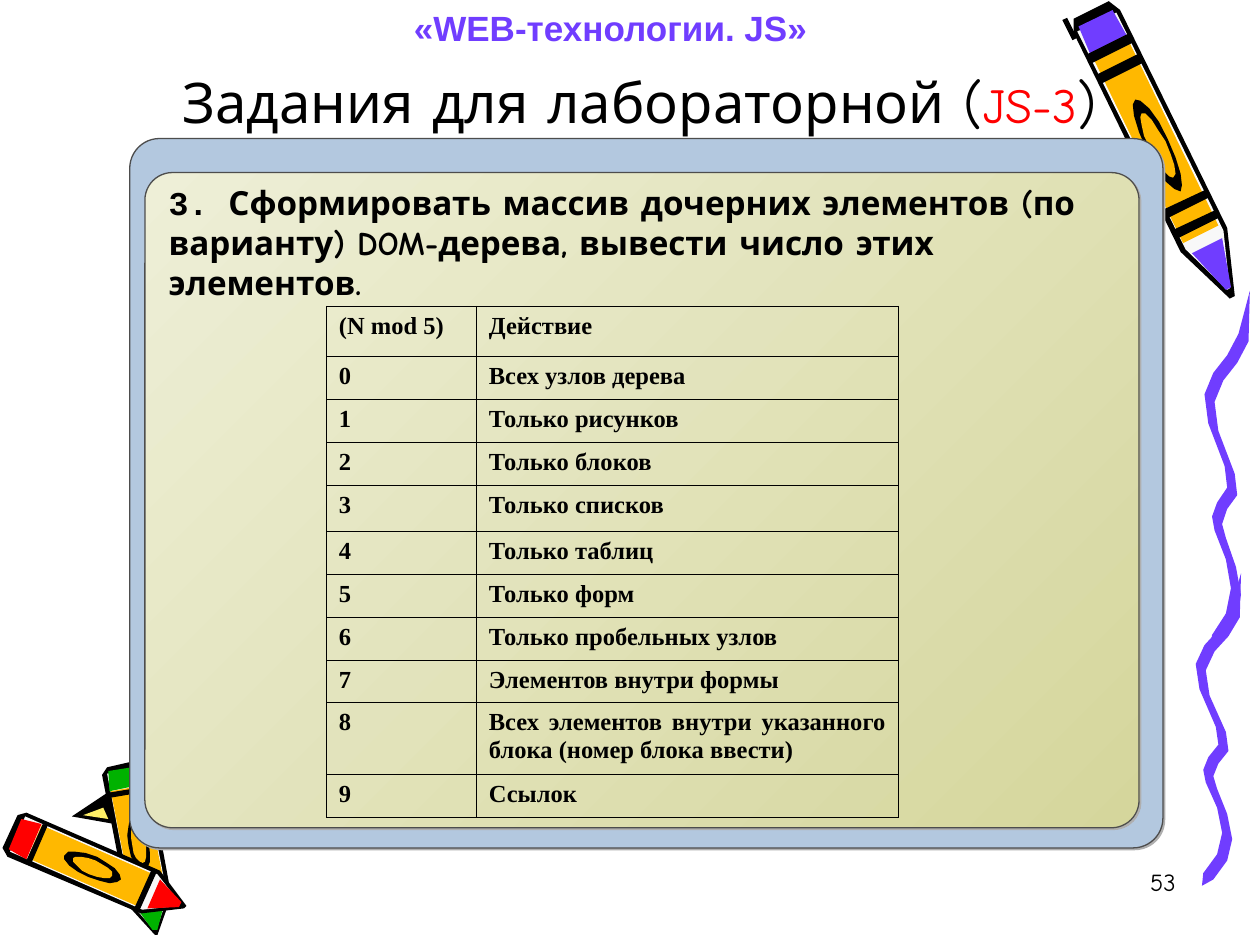
import math

import lxml.etree
import pptx
import pptx.dml.color
import pptx.enum.shapes
import pptx.enum.text
import pptx.util

DRAWING = "{http://schemas.openxmlformats.org/drawingml/2006/main}"
PURPLE, AMBER, BLACK, WHITE = "703DFF", "FFB800", "000000", "F8F8F8"
RED, GREEN, YELLOW, OUTLINE = "FF0000", "00B200", "FFEF66", "4D4D4D"
ALIGN = pptx.enum.text.PP_ALIGN
ANCHOR = pptx.enum.text.MSO_ANCHOR
SHAPES = pptx.enum.shapes.MSO_SHAPE


def colour(value):
    return pptx.dml.color.RGBColor.from_string(value)


def write(frame, align, runs):
    """Fill the first paragraph with (text, font, size, colour, bold) runs."""
    para = frame.paragraphs[0]
    para.alignment = align
    for text, font, size, ink, bold in runs:
        span = para.add_run()
        span.text = text
        for name, value in {"name": font, "size": pptx.util.Pt(size), "bold": bold}.items():
            setattr(span.font, name, value)
        span.font.color.rgb = colour(ink)
    return para


# Page on a grid of 1000 columns by 750 rows
deck = pptx.Presentation()
deck.slide_width, deck.slide_height = pptx.util.Inches(10), pptx.util.Inches(7.5)
unit = deck.slide_width // 1000
page = deck.slides.add_slide(deck.slide_layouts[6])
outlines = []  # (fill, points on the grid), from back to front

# Chip beside the small crayons: a yellow triangle inside a black one
outlines += [(BLACK, [(84, 630), (57, 648), (91, 654)]),
             (YELLOW, [(82, 641), (66, 647), (86, 650)])]

# Crayons: each part is symmetrical about the axis from blunt end to tip, given as
# (share of the length, share of the half width) along one side
turns = [math.pi * step / 8 for step in range(9)]
ring, hole = ([(0.47 - 0.16 * size * math.cos(t), 0.45 * size * math.sin(t)) for t in turns]
              for size in (1, 0.7))
crayons = [  # blunt end, tip, width, tint, places of the dark bands
    ((98, 606), (124, 742), 36, GREEN, [0.15]),
    ((8, 660), (147, 720), 38, RED, [0.14, 0.76]),
    ((866, 8), (978, 236), 42, PURPLE, [0.12, 0.19, 0.66, 0.73]),
]
for (x0, y0), (x1, y1), width, tint, bands in crayons:
    dx, dy = x1 - x0, y1 - y0
    half = width / 2 / math.hypot(dx, dy)
    parts = [
        (BLACK, [(0, 0.75), (0.04, 1), (0.8, 1), (1, 0.08)]),
        (WHITE, [(0.04, 0.8), (0.8, 0.8), (0.97, 0.05)]),
        (tint, [(0.03, 0.7), (0.14, 0.8)]),
        (AMBER, [(0.14, 0.75), (0.78, 0.75)]),
        (tint, [(0.82, 0.65), (0.97, 0.1)]),
        (BLACK, ring),
        (AMBER, hole),
    ] + [(BLACK, [(band, 0.85), (band + 0.03, 0.85)]) for band in bands]
    for fill, side in parts:
        around = side + [(along, -across) for along, across in reversed(side)]
        outlines.append((fill, [(x0 + dx * along - dy * half * across,
                                 y0 + dy * along + dx * half * across)
                                for along, across in around]))

# Squiggle: one tapering ribbon, its centre line in shares of the frame, drawn twice
centre_line = [(0.86, 0.13), (0.61, 0.19), (0.31, 0.24), (0.11, 0.3), (0.19, 0.38),
               (0.56, 0.5), (0.61, 0.56), (0.39, 0.6), (0.28, 0.64), (0.34, 0.68),
               (0.58, 0.76), (0.69, 0.84), (0.58, 0.91), (0.28, 0.97)]
ribbon = ([(1, 0)] + [(x + 0.12, y + 0.01) for x, y in centre_line] + [(0.14, 1)]
          + [(x - 0.12, y - 0.01) for x, y in reversed(centre_line)])
for left, top, width, height in ((949, 455, 36, 248), (956, 231, 36, 284)):
    outlines.append((PURPLE, [(left + width * x, top + height * y) for x, y in ribbon]))

for fill, points in outlines:
    builder = page.shapes.build_freeform(*points[0], scale=unit)
    builder.add_line_segments(points[1:], close=True)
    shape = builder.convert_to_shape()
    shape.shadow.inherit = False
    shape.fill.solid()
    shape.fill.fore_color.rgb = colour(fill)
    shape.line.fill.background()

# Stroke at the blunt end of the big crayon
stroke = page.shapes.add_connector(pptx.enum.shapes.MSO_CONNECTOR.STRAIGHT,
                                   *(unit * n for n in (845, 15, 853, 31)))
stroke.line.color.rgb = colour(BLACK)
stroke.line.width = pptx.util.Pt(3)
lxml.etree.SubElement(stroke.element.spPr, DRAWING + "effectLst")

# Two nested panels with a small shadow
for place, stops in (((103, 110, 820, 563), ["B3C8DF"]),
                     ((115, 137, 789, 520), ["EEEFD7", "D5D69C"])):
    panel = page.shapes.add_shape(SHAPES.ROUNDED_RECTANGLE, *(unit * n for n in place))
    panel.adjustments[0] = 0.042
    if len(stops) == 1:
        panel.fill.solid()
        panel.fill.fore_color.rgb = colour(stops[0])
    else:
        panel.fill.gradient()
        panel.fill.gradient_angle = 315
        for stop, value in zip(panel.fill.gradient_stops, stops):
            stop.color.rgb = colour(value)
    panel.line.color.rgb = colour(OUTLINE)
    panel.line.width = pptx.util.Pt(0.75)
    panel.shadow.inherit = False
    effects = panel.element.spPr.find(DRAWING + "effectLst")
    shadow = lxml.etree.SubElement(effects, DRAWING + "outerShdw", dist="17780", dir="2700000",
                                   algn="ctr", rotWithShape="0")
    lxml.etree.SubElement(shadow, DRAWING + "srgbClr", val="AFAFAF")

# Title, task and page number
for place, anchor, align, runs in (
    ((50, 50, 915, 60), ANCHOR.MIDDLE, ALIGN.CENTER,
     [("Задания для лабораторной (", "Comic Neue", 32, BLACK, False),
      ("JS-3", "Comic Neue", 28, RED, False),
      (")", "Comic Neue", 32, BLACK, False)]),
    ((124, 140, 780, 74), ANCHOR.TOP, ALIGN.LEFT,
     [("3. ", "Courier New", 19, BLACK, True),
      ("Сформировать массив дочерних элементов (по варианту) DOM-дерева, "
       "вывести число этих элементов.", "Comic Neue", 19, BLACK, True)]),
    ((735, 683, 208, 50), ANCHOR.TOP, ALIGN.RIGHT,
     [("53", "Comic Neue", 14, BLACK, False)]),
):
    box = page.shapes.add_textbox(*(unit * n for n in place))
    box.text_frame.word_wrap = True
    box.text_frame.vertical_anchor = anchor
    write(box.text_frame, align, runs)

# Course name at the top
course = page.shapes.add_shape(SHAPES.ROUNDED_RECTANGLE, *(unit * n for n in (260, 0, 449, 47)))
course.adjustments[0] = 0.217
course.shadow.inherit = False
course.fill.background()
course.line.fill.background()
course.text_frame.word_wrap = True
course.text_frame.vertical_anchor = ANCHOR.BOTTOM
write(course.text_frame, ALIGN.CENTER,
      [("«WEB-технологии. JS»", "Arial", 20, PURPLE, True)]).line_spacing = 0.9

# Table of variants
actions = ["Всех узлов дерева", "Только рисунков", "Только блоков", "Только списков",
           "Только таблиц", "Только форм", "Только пробельных узлов", "Элементов внутри формы",
           "Всех элементов внутри указанного блока (номер блока ввести)", "Ссылок"]
rows = [("(N mod 5)", "Действие")] + [(str(n), action) for n, action in enumerate(actions)]
heights = {0: 40, 4: 37, 9: 57}
table = page.shapes.add_table(len(rows), 2, *(unit * n for n in (259, 243, 454, 405))).table
table.first_row = table.horz_banding = False
for column, width in zip(table.columns, (119, 335)):
    column.width = unit * width
for r, texts in enumerate(rows):
    table.rows[r].height = unit * heights.get(r, 34)
    for c, text in enumerate(texts):
        cell = table.cell(r, c)
        write(cell.text_frame, ALIGN.JUSTIFY, [(text, "Times New Roman", 14, BLACK, True)])
        borders = cell._tc.get_or_add_tcPr()
        for side in ("lnL", "lnR", "lnT", "lnB"):
            edge = lxml.etree.SubElement(borders, DRAWING + side, w="5715")
            ink = lxml.etree.SubElement(edge, DRAWING + "solidFill")
            lxml.etree.SubElement(ink, DRAWING + "srgbClr", val=BLACK)
        cell.fill.background()

deck.save("out.pptx")
